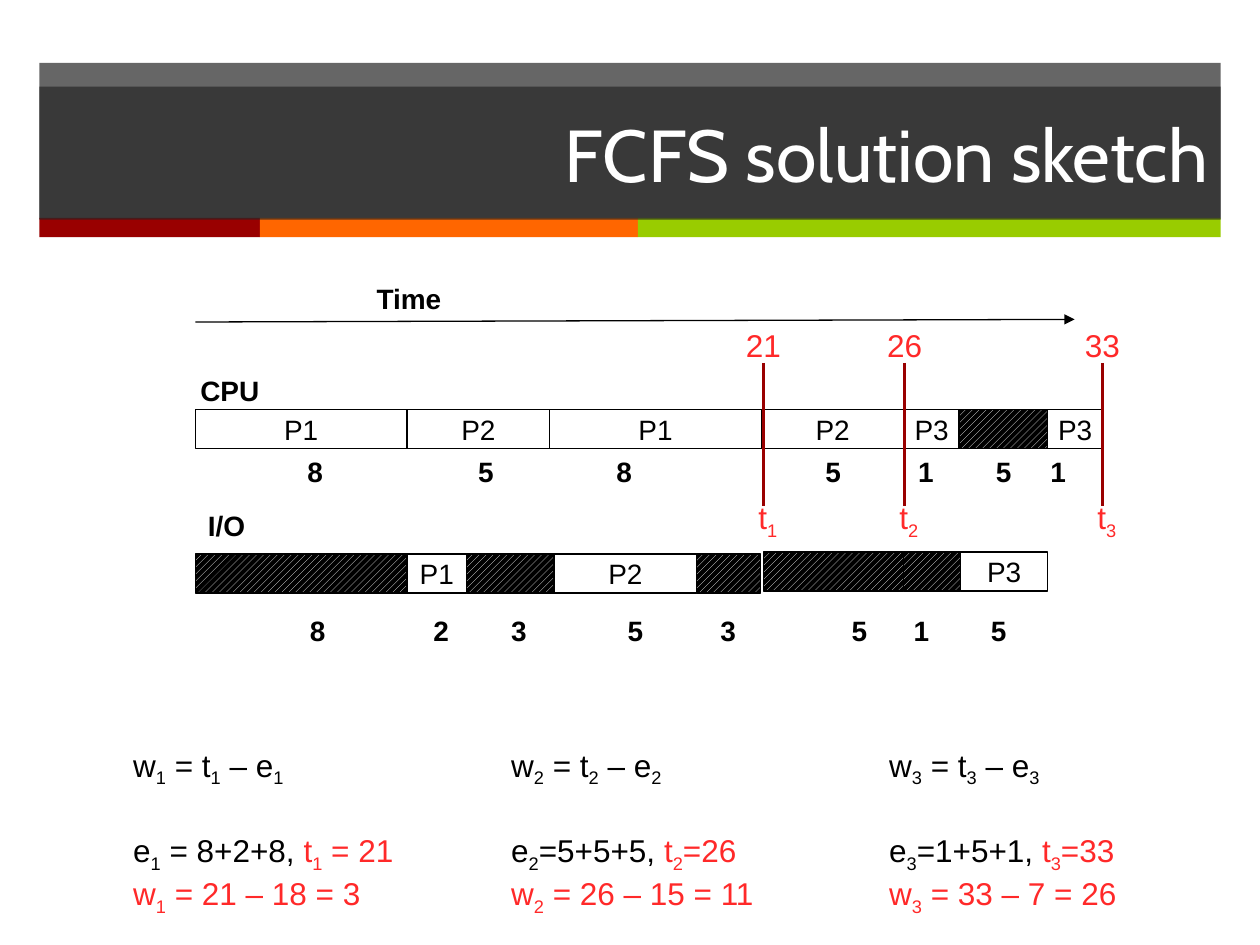
from lxml.etree import SubElement
from pptx import Presentation
from pptx.dml.color import RGBColor
from pptx.enum.dml import MSO_PATTERN
from pptx.enum.shapes import MSO_CONNECTOR, MSO_SHAPE
from pptx.enum.text import MSO_ANCHOR, PP_ALIGN
from pptx.oxml.ns import qn
from pptx.util import Pt

BLACK = RGBColor(0x00, 0x00, 0x00)
WHITE = RGBColor(0xFF, 0xFF, 0xFF)
CHARCOAL = RGBColor(0x26, 0x26, 0x26)
DARK_RED = RGBColor(0x99, 0x00, 0x00)
ORANGE = RGBColor(0xFF, 0x66, 0x00)
GREEN = RGBColor(0x99, 0xCC, 0x00)
RED = RGBColor(0xFF, 0x29, 0x29)
IDLE = None

# (process, width) of each block; IDLE blocks are hatched
CPU_BLOCKS = [("P1", 121), ("P2", 81.5), ("P1", 121), ("P2", 81.5),
              ("P3", 31.5), (IDLE, 50.5), ("P3", 31.5)]
IO_BLOCKS = [(IDLE, 121), ("P1", 34), (IDLE, 50), ("P2", 81.5), (IDLE, 36.5)]
IO_LATE_BLOCKS = [(IDLE, 80), (IDLE, 32.5), ("P3", 50)]

# (duration, centre from the start of the bars)
CPU_TIMES = [("8", 68.5), ("5", 166), ("8", 245), ("5", 364.5),
             ("1", 417.5), ("5", 462), ("1", 493)]
IO_TIMES = [("8", 70), ("2", 140.5), ("3", 185), ("5", 251.5),
            ("3", 304.5), ("5", 379.5), ("1", 415), ("5", 459)]

FINISHES = [("21", "t_1", 324.7), ("26", "t_2", 405.3), ("33", "t_3", 518.4)]


def add_rect(s, x, y, w, h):
    sp = s.shapes.add_shape(MSO_SHAPE.RECTANGLE, Pt(x), Pt(y), Pt(w), Pt(h))
    sp.shadow.inherit = False
    return sp


def fill_solid(sp, color, opacity=100):
    sp.fill.solid()
    sp.fill.fore_color.rgb = color
    sp.line.fill.background()
    if opacity < 100:
        clr = sp._element.spPr.find(qn("a:solidFill"))[0]
        SubElement(clr, qn("a:alpha")).set("val", str(opacity * 1000))


def set_insets(tf, dx, dy):
    tf.margin_left = tf.margin_right = Pt(dx)
    tf.margin_top = tf.margin_bottom = Pt(dy)
    tf.word_wrap = True


def add_text(s, x, y, w, h, dx=3.6, dy=2.16):
    tf = s.shapes.add_textbox(Pt(x), Pt(y), Pt(w), Pt(h)).text_frame
    set_insets(tf, dx, dy)
    return tf


def style(font, size, color, bold=False):
    font.name, font.size, font.bold = "Arial", Pt(size), bold
    font.color.rgb = color


def add_formula(p, text, color):
    """Add runs in which the character after each underscore is a subscript."""
    first, *rest = text.split("_")
    pieces = [(first, False)]
    for part in rest:
        pieces += [(part[0], True), (part[1:], False)]
    for piece, is_sub in pieces:
        if piece:
            r = p.add_run()
            r.text = piece
            style(r.font, 18, color)
            if is_sub:
                r._r.get_or_add_rPr().set("baseline", "-25000")


def add_tabs(p, stops, align):
    tabs = SubElement(p._p.get_or_add_pPr(), qn("a:tabLst"))
    for stop in stops:
        tab = SubElement(tabs, qn("a:tab"))
        tab.set("pos", str(Pt(stop)))
        tab.set("algn", align)


def add_line(s, x1, y1, x2, y2, color, width, arrow=False):
    c = s.shapes.add_connector(MSO_CONNECTOR.STRAIGHT, Pt(x1), Pt(y1), Pt(x2), Pt(y2))
    c.line.color.rgb = color
    c.line.width = Pt(width)
    if arrow:
        SubElement(c.line._get_or_add_ln(), qn("a:tailEnd")).set("type", "triangle")
    SubElement(c._element.spPr, qn("a:effectLst"))


def add_header(s, x, y, w, h):
    fill_solid(add_rect(s, x, y, w, h), CHARCOAL, 70)
    left = x
    for color, width in [(DARK_RED, 126), (ORANGE, 216), (GREEN, w - 342)]:
        fill_solid(add_rect(s, left, y + h - 0.5, width, 11), color)
        left += width

    title = s.shapes.title
    s.shapes._spTree.append(title._element)  # in front of the bands
    title.left, title.top, title.width, title.height = Pt(x), Pt(y + 13.5), Pt(w), Pt(76)
    fill_solid(title, CHARCOAL, 70)
    tf = title.text_frame
    tf.text = "FCFS solution sketch"
    tf.vertical_anchor = MSO_ANCHOR.MIDDLE
    p = tf.paragraphs[0]
    p.alignment = PP_ALIGN.RIGHT
    font = p.runs[0].font
    font.name, font.size = "Cabin", Pt(42)
    font.color.rgb = WHITE


def add_bar(s, x, y, h, blocks):
    for name, w in blocks:
        sp = add_rect(s, x, y, w, h)
        sp.line.color.rgb = BLACK
        sp.line.width = Pt(0.75)
        if name is IDLE:
            sp.fill.patterned()
            sp.fill.pattern = MSO_PATTERN.WIDE_UPWARD_DIAGONAL
            sp.fill.fore_color.rgb = WHITE
            sp.fill.back_color.rgb = BLACK
        else:
            sp.fill.background()
            tf = sp.text_frame
            set_insets(tf, 0, 2.16)
            tf.text = name
            tf.paragraphs[0].alignment = PP_ALIGN.CENTER
            style(tf.paragraphs[0].runs[0].font, 16, BLACK)
        x += w


def add_label(s, x, y, w, text):
    tf = add_text(s, x, y, w, 21.6)
    tf.text = text
    style(tf.paragraphs[0].runs[0].font, 16, BLACK, True)


def add_times(s, x, y, w, times):
    tf = add_text(s, x, y, w, 21.6, dx=0)
    p = tf.paragraphs[0]
    add_tabs(p, [centre for _, centre in times], "ctr")
    p.text = "".join("\t" + value for value, _ in times)
    style(p.runs[0].font, 16, BLACK, True)


def add_finish(s, x, y, h, time, name):
    add_line(s, x, y, x, y + h, DARK_RED, 2)
    for text, left, top in [(time, x - 22, y - 24.5), (name, x - 19.5, y + h - 8)]:
        p = add_text(s, left, top, 44, 29, 7.2, 3.6).paragraphs[0]
        p.alignment = PP_ALIGN.CENTER
        add_formula(p, text, RED)


def add_schedule(s, x, y, w):
    add_label(s, x + 100, y, 50, "Time")
    add_line(s, x, y + 25, x + w - 16, y + 23.5, BLACK, 0.75, arrow=True)
    add_label(s, x - 0.7, y + 52.5, 47, "CPU")
    add_bar(s, x, y + 75, 22.3, CPU_BLOCKS)
    add_times(s, x, y + 98.6, w, CPU_TIMES)
    add_label(s, x + 3.6, y + 129.6, 40, "I/O")
    add_bar(s, x, y + 157.6, 22.3, IO_BLOCKS)
    add_bar(s, x + 324.7, y + 156.5, 22.3, IO_LATE_BLOCKS)
    add_times(s, x, y + 189.3, w, IO_TIMES)
    for time, name, offset in FINISHES:
        add_finish(s, x + offset, y + 48.3, 82, time, name)


def add_results(s, x, y, w, h):
    rows = [
        [("w_1 = t_1 – e_1\tw_2 = t_2 – e_2\tw_3 = t_3 – e_3", BLACK)],
        [("e_1 = 8+2+8, ", BLACK), ("t_1 = 21", RED),
         ("\te_2=5+5+5, ", BLACK), ("t_2=26", RED),
         ("\te_3=1+5+1, ", BLACK), ("t_3=33", RED)],
        [("w_1 = 21 – 18 = 3\tw_2 = 26 – 15 = 11\tw_3 = 33 – 7 = 26", RED)],
    ]
    tf = add_text(s, x, y, w, h, 7.2, 3.6)
    for i, row in enumerate(rows):
        p = tf.add_paragraph() if i else tf.paragraphs[0]
        if i == 1:
            p.space_before = Pt(24.5)
        add_tabs(p, [216, 432], "l")
        for text, color in row:
            add_formula(p, text, color)


def main():
    prs = Presentation()
    prs.slide_width, prs.slide_height = Pt(720), Pt(540)
    s = prs.slides.add_slide(prs.slide_layouts[5])
    add_header(s, 22.5, 36, 675, 89)
    add_schedule(s, 111.6, 159, 518.5)
    add_results(s, 69, 422.5, 605, 87)
    prs.save("out.pptx")


if __name__ == "__main__":
    main()
